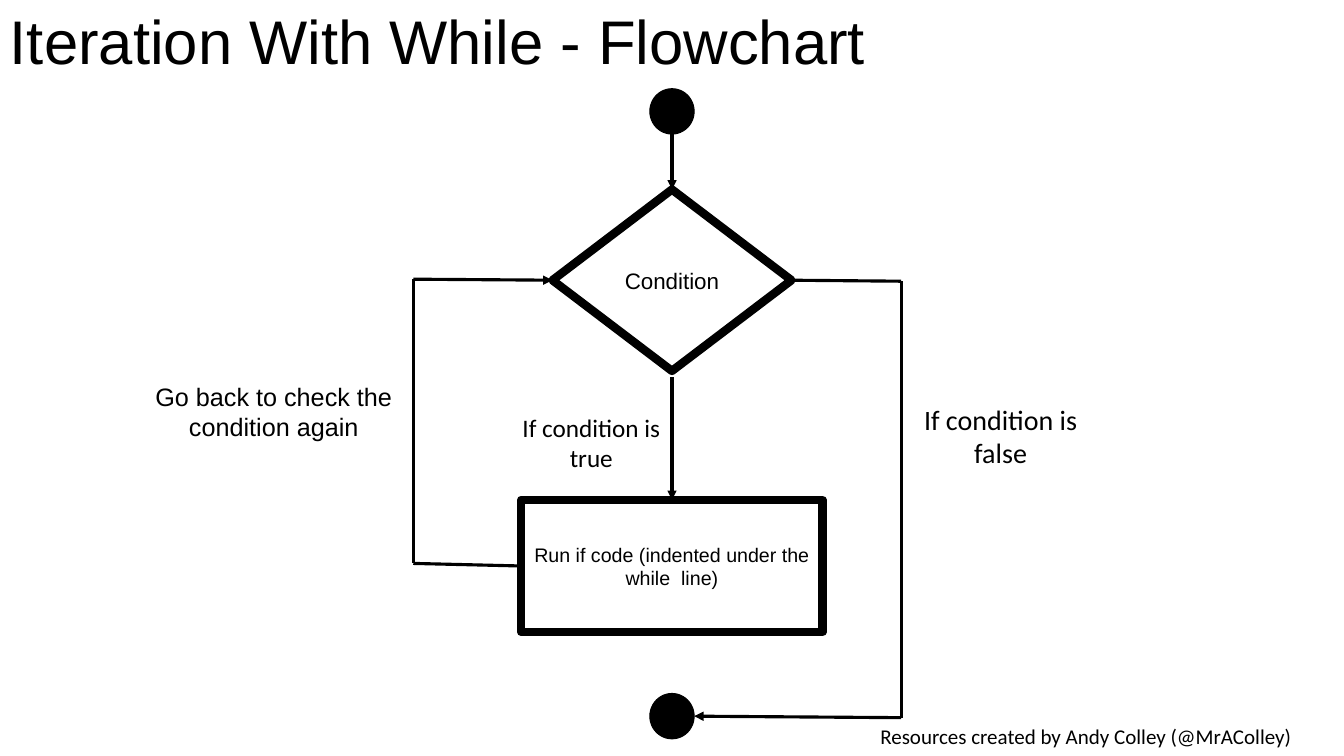
from lxml.etree import SubElement
from pptx import Presentation
from pptx.dml.color import RGBColor as RGB
from pptx.enum.shapes import MSO_CONNECTOR as Cxn, MSO_SHAPE as Shape
from pptx.enum.text import MSO_ANCHOR as Anchor, PP_ALIGN as Align
from pptx.oxml.ns import qn
from pptx.util import Inches, Pt

COLORS = {"ink": "000000", "paper": "FFFFFF"}
WIDTH, HEIGHT = Inches(13.33), Inches(7.5)
TOP, LEFT, BOTTOM, RIGHT = range(4)  # connection sites

# Guides, in percent of the slide's width (x) or height (y)
AXIS = 50
LOOP_X, EXIT_X = 30.75, 67.05
CONDITION_Y, CODE_Y = 37.07, 74.87
START_Y, END_Y = 14.73, 94.73
DOT_W, DOT_H = 3.3, 6


def x(share):
    return round(WIDTH * share / 100)


def y(share):
    return round(HEIGHT * share / 100)


def ink():
    return RGB.from_string(COLORS["ink"])


def write(shape, text, size, font, align=Align.CENTER, anchor=Anchor.MIDDLE,
          margin_y=0.1, spacing=None):
    tf = shape.text_frame
    tf.word_wrap = True
    tf.vertical_anchor = anchor
    tf.margin_left = tf.margin_right = Inches(0.1)
    tf.margin_top = tf.margin_bottom = Inches(margin_y)
    p = tf.paragraphs[0]
    p.alignment = align
    p.line_spacing = spacing
    r = p.add_run()
    r.text = text
    r.font.name, r.font.size = font, Pt(size)
    r.font.color.rgb = ink()


def add_label(s, left, top, width, height, text, size, font, **style):
    box = s.shapes.add_textbox(x(left), y(top), x(width), y(height))
    write(box, text, size, font, **style)


def add_node(s, kind, middle, width, height, line_width):
    """Place a flowchart symbol centred on the vertical axis."""
    node = s.shapes.add_shape(kind, x(AXIS - width / 2), y(middle - height / 2),
                              x(width), y(height))
    node.shadow.inherit = False
    node.fill.background()
    node.line.color.rgb = ink()
    node.line.width = Pt(line_width)
    return node


def add_dot(s, middle):
    dot = add_node(s, Shape.FLOWCHART_CONNECTOR, middle, DOT_W, DOT_H, 0.75)
    dot.fill.solid()
    dot.fill.fore_color.rgb = ink()


def add_line(s, start, end, arrow=False, begin_at=None, end_at=None):
    line = s.shapes.add_connector(Cxn.STRAIGHT, x(start[0]), y(start[1]),
                                  x(end[0]), y(end[1]))
    if begin_at:
        line.begin_connect(*begin_at)
    if end_at:
        line.end_connect(*end_at)
    line.line.color.rgb = ink()
    line.line.width = Pt(2.25)
    if arrow:
        SubElement(line.line._get_or_add_ln(), qn("a:tailEnd"), type="triangle")
    SubElement(line._element.spPr, qn("a:effectLst"))


def main():
    prs = Presentation()
    prs.slide_width, prs.slide_height = WIDTH, HEIGHT
    s = prs.slides.add_slide(prs.slide_layouts[6])
    s.background.fill.solid()
    s.background.fill.fore_color.rgb = RGB.from_string(COLORS["paper"])

    # Footer and title
    add_label(s, 61.59, 94.67, 38.41, 5.33,
              "Resources created by Andy Colley (@MrAColley)", 15, "Calibri")
    add_label(s, 0, 0, 86.27, 11.73, "Iteration With While - Flowchart", 44,
              "Arial", align=Align.LEFT, margin_y=0.05, spacing=0.9)

    # Flowchart symbols
    add_dot(s, START_Y)
    condition = add_node(s, Shape.FLOWCHART_DECISION, CONDITION_Y, 17.78, 24, 6)
    write(condition, "Condition", 16, "Arial")
    code = add_node(s, Shape.FLOWCHART_PROCESS, CODE_Y, 22.43, 17.47, 6)
    write(code, "Run if code (indented under the while  line)", 14, "Arial")
    add_dot(s, END_Y)

    # Main path down the axis
    add_line(s, (AXIS, START_Y + DOT_H / 2), (AXIS, 25), arrow=True,
             end_at=(condition, TOP))
    add_line(s, (AXIS, 49.87), (AXIS, 66), arrow=True, end_at=(code, TOP))

    # Loop back from the code to the condition
    loop_top, loop_bottom = (LOOP_X, 36.93), (LOOP_X, 74.53)
    add_line(s, loop_bottom, (39, CODE_Y), end_at=(code, LEFT))
    add_line(s, loop_top, loop_bottom)
    add_line(s, loop_top, (41, CONDITION_Y), arrow=True,
             end_at=(condition, LEFT))

    # Exit from the condition to the end
    exit_top, exit_bottom = (EXIT_X, 37.2), (EXIT_X, 94.93)
    add_line(s, (59, CONDITION_Y), exit_top, begin_at=(condition, RIGHT))
    add_line(s, exit_top, exit_bottom)
    add_line(s, exit_bottom, (AXIS + DOT_W / 2, END_Y), arrow=True)

    # Labels beside the paths
    for label in (
        (38.03, 53.2, 11.93, 8.8, "If condition is true", 18, "Calibri"),
        (65.94, 51.87, 17.03, 8.8, "If condition is false", 20, "Calibri"),
        (9.98, 49.07, 20.78, 10.53, "Go back to check the condition again",
         18, "Arial"),
    ):
        add_label(s, *label, anchor=Anchor.TOP)

    prs.save("out.pptx")


if __name__ == "__main__":
    main()
